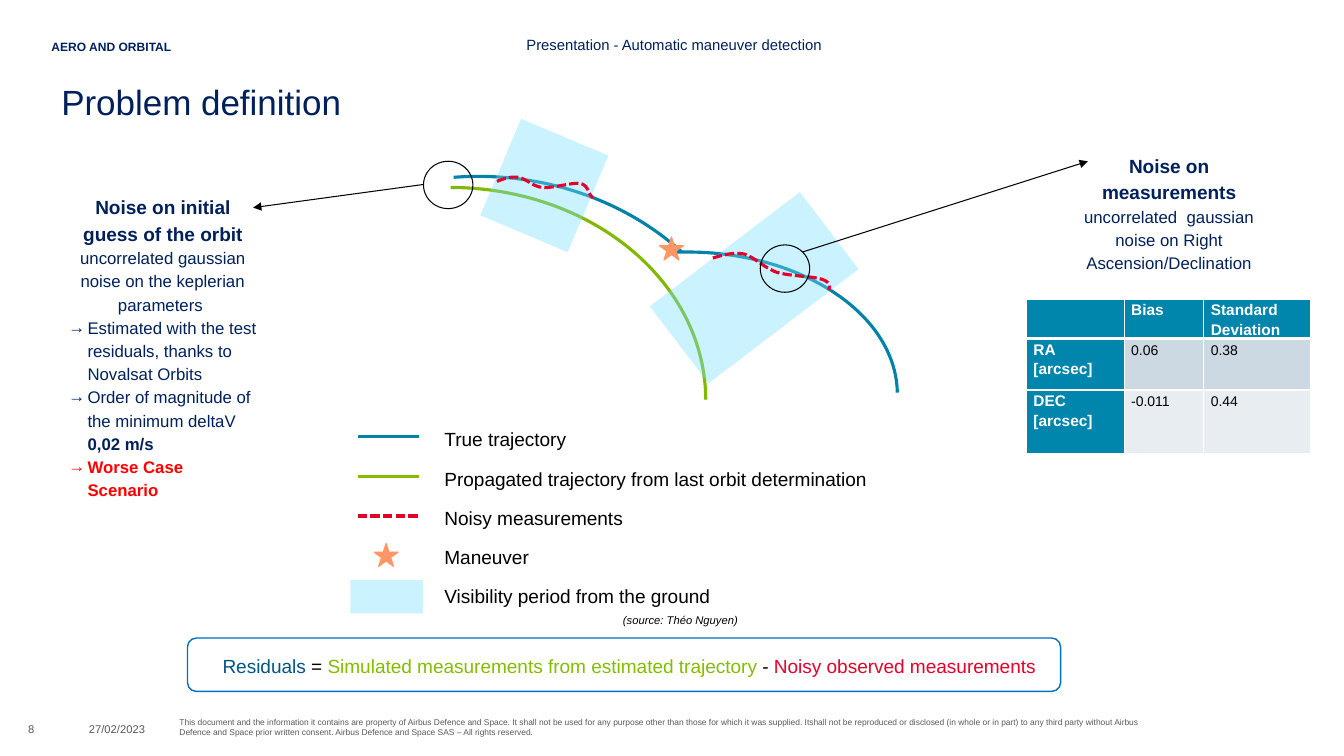
from lxml.etree import SubElement
from pptx import Presentation
from pptx.dml.color import RGBColor
from pptx.enum.dml import MSO_LINE
from pptx.enum.shapes import MSO_CONNECTOR, MSO_SHAPE
from pptx.enum.text import MSO_ANCHOR, PP_ALIGN
from pptx.oxml.ns import qn
from pptx.util import Inches, Pt

NAVY = RGBColor(0x00, 0x20, 0x5B)
BLACK = RGBColor(0x00, 0x00, 0x00)
WHITE = RGBColor(0xFF, 0xFF, 0xFF)
GREY = RGBColor(0x59, 0x59, 0x59)
TEAL = RGBColor(0x00, 0x82, 0xA9)
GREEN = RGBColor(0x84, 0xBD, 0x00)
ARC_GREEN = RGBColor(0x81, 0xB9, 0x00)
CRIMSON = RGBColor(0xE4, 0x00, 0x2B)
RED = RGBColor(0xFF, 0x00, 0x00)
ORANGE = RGBColor(0xFF, 0x96, 0x65)
SKY = RGBColor(0x78, 0xE0, 0xFF)
FRAME_BLUE = RGBColor(0x00, 0x70, 0xC0)
RESIDUAL_BLUE = RGBColor(0x00, 0x55, 0x87)
HEADER_BLUE = RGBColor(0x00, 0x85, 0xAD)
BAND_DARK = RGBColor(0xCC, 0xD9, 0xE3)
BAND_LIGHT = RGBColor(0xE7, 0xED, 0xF1)

CENTER = {"alignment": PP_ALIGN.CENTER}
RIGHT = {"alignment": PP_ALIGN.RIGHT}
NO_INSETS = {"margin_left": 0, "margin_right": 0, "margin_top": 0, "margin_bottom": 0}
FOOTER = {**NO_INSETS, "vertical_anchor": MSO_ANCHOR.BOTTOM}
SINGLE = {"line_spacing": 1.0}
CELL_INSETS = {**NO_INSETS, "margin_left": Inches(0.07), "margin_right": Inches(0.07)}
CELL_TEXT = {"alignment": PP_ALIGN.JUSTIFY, "line_spacing": Pt(14), "space_after": Pt(6)}


def apply(target, values):
    for name, value in values.items():
        setattr(target, name, value)


def curve_points(start, segments, steps=12):
    points = [start]
    for first, second, end in segments:
        origin = points[-1]
        for step in range(1, steps + 1):
            t = step / steps
            weights = ((1 - t) ** 3, 3 * t * (1 - t) ** 2, 3 * t * t * (1 - t), t ** 3)
            controls = (origin, first, second, end)
            points.append(tuple(sum(w * c[axis] for w, c in zip(weights, controls)) for axis in (0, 1)))
    return points


class SlideBuilder:
    font_name = "Arial"
    line_spacing = 1.15
    trajectory_width = 2.25

    def __init__(self, slide):
        self.slide = slide
        self.shapes = slide.shapes

    def outline(self, line, color, width, dashed=False):
        line.color.rgb = color
        line.width = Pt(width)
        if dashed:
            line.dash_style = MSO_LINE.SQUARE_DOT

    def run(self, paragraph, text, size, color, **font_values):
        run = paragraph.add_run()
        run.text = text
        apply(run.font, {"name": self.font_name, "size": Pt(size), **font_values})
        run.font.color.rgb = color

    def text(self, box, paragraphs, frame_values={}):
        shape = self.shapes.add_textbox(*map(Inches, box))
        frame = shape.text_frame
        apply(frame, {"word_wrap": True, **frame_values})
        for index, (runs, values) in enumerate(paragraphs):
            paragraph = frame.add_paragraph() if index else frame.paragraphs[0]
            values = dict(values)
            if values.pop("bullet", False):
                self.arrow_bullet(paragraph)
            apply(paragraph, {"line_spacing": self.line_spacing, **values})
            for text, size, color, *style in runs:
                self.run(paragraph, text, size, color, **{name: True for name in style})

    def arrow_bullet(self, paragraph):
        properties = paragraph._p.get_or_add_pPr()
        properties.set("marL", str(Inches(0.19)))
        properties.set("indent", str(-Inches(0.19)))
        SubElement(properties, qn("a:buFont"), typeface=self.font_name)
        SubElement(properties, qn("a:buChar"), char="→")

    def shape(self, kind, box, fill=None, line=None, rotation=0, alpha=None, adjustments=()):
        shape = self.shapes.add_shape(kind, *map(Inches, box))
        shape.shadow.inherit = False
        shape.rotation = rotation
        for index, value in enumerate(adjustments):
            shape.adjustments[index] = value
        if fill is None:
            shape.fill.background()
        else:
            shape.fill.solid()
            shape.fill.fore_color.rgb = fill
        if alpha:
            color = shape.fill._xPr.find(qn("a:solidFill"))[0]
            SubElement(color, qn("a:alpha"), val=str(alpha * 1000))
        if line:
            self.outline(shape.line, *line)
        else:
            shape.line.fill.background()

    def visibility(self, box, rotation):
        self.shape(MSO_SHAPE.RECTANGLE, box, fill=SKY, rotation=rotation, alpha=39)

    def star(self, left, top):
        self.shape(MSO_SHAPE.STAR_5_POINT, (left, top, 0.24, 0.23), ORANGE, (ORANGE, 0.75))

    def arc(self, box, color, adjustments=()):
        self.shape(MSO_SHAPE.ARC, box, line=(color, self.trajectory_width), adjustments=adjustments)

    def line(self, start, end, color, width, dashed=False, arrow=False):
        connector = self.shapes.add_connector(MSO_CONNECTOR.STRAIGHT, *map(Inches, (*start, *end)))
        self.outline(connector.line, color, width, dashed)
        if arrow:
            SubElement(connector.line._get_or_add_ln(), qn("a:tailEnd"), type="triangle")
        SubElement(connector._element.spPr, qn("a:effectLst"))

    def noisy_curve(self, start, segments):
        points = [tuple(map(Inches, point)) for point in curve_points(start, segments)]
        builder = self.shapes.build_freeform(*points[0])
        builder.add_line_segments(points[1:], close=False)
        shape = builder.convert_to_shape()
        shape.shadow.inherit = False
        shape.fill.background()
        self.outline(shape.line, CRIMSON, self.trajectory_width, True)

    def border(self, cell, side, width):
        line = SubElement(cell._tc.get_or_add_tcPr(), qn("a:" + side), w=str(Pt(width)))
        SubElement(SubElement(line, qn("a:solidFill")), qn("a:srgbClr"), val=str(WHITE))

    def table(self, box, widths, heights, rows):
        table = self.shapes.add_table(len(rows), len(widths), *map(Inches, box)).table
        for column, width in zip(table.columns, widths):
            column.width = Inches(width)
        for row, height in zip(table.rows, heights):
            row.height = Inches(height)
        for row_index, row in enumerate(rows):
            for column_index, text in enumerate(row):
                cell = table.cell(row_index, column_index)
                header = row_index == 0 or column_index == 0
                apply(cell, CELL_INSETS)
                for side in ("lnL", "lnR", "lnT", "lnB"):
                    thick = (row_index, side) in ((0, "lnB"), (1, "lnT"))
                    self.border(cell, side, 3 if thick else 1)
                cell.fill.solid()
                band = BAND_DARK if row_index == 1 else BAND_LIGHT
                cell.fill.fore_color.rgb = HEADER_BLUE if header else band
                paragraph = cell.text_frame.paragraphs[0]
                apply(paragraph, CELL_TEXT)
                paragraph.font.size = Pt(11 if header else 10)
                if text:
                    self.run(paragraph, text, 11 if header else 10, WHITE if header else BLACK, bold=header)


def main():
    presentation = Presentation()
    presentation.slide_width, presentation.slide_height = Inches(13.33), Inches(7.5)
    page = SlideBuilder(presentation.slides.add_slide(presentation.slide_layouts[6]))

    page.text((0.51, 0.36, 1.6, 0.2), [([("AERO AND ORBITAL", 8.6, NAVY, "bold")], SINGLE)],
              {**NO_INSETS, "vertical_anchor": MSO_ANCHOR.MIDDLE})
    page.text((4.56, 0.28, 4.25, 0.29), [([("Presentation - Automatic maneuver detection", 10.6, NAVY)], CENTER)])
    page.text((0.51, 0.71, 12.3, 0.82), [([("Problem definition", 25, NAVY)], {"line_spacing": 1.1})])

    page.shape(MSO_SHAPE.ROUNDED_RECTANGLE, (1.86, 6.33, 8.66, 0.53), WHITE, (FRAME_BLUE, 1))
    page.text((1.86, 6.41, 8.76, 0.34), [([
        ("Residuals ", 13.6, RESIDUAL_BLUE), ("= ", 13.6, BLACK),
        ("Simulated measurements from estimated trajectory ", 13.6, GREEN),
        ("- ", 13.6, BLACK), ("Noisy observed measurements", 13.6, CRIMSON)], CENTER)])

    legend = ("True trajectory", "Propagated trajectory from last orbit determination",
              "Noisy measurements", "Maneuver", "Visibility period from the ground")
    for index, label in enumerate(legend):
        page.text((4.31, 4.16 + 0.39 * index, 5.24, 0.34), [([(label, 13.6, BLACK)], {})])
    for index, color in enumerate((TEAL, GREEN, CRIMSON)):
        y = 4.33 + 0.395 * index
        page.line((3.55, y), (4.16, y), color, page.trajectory_width, dashed=color == CRIMSON)
    page.star(3.71, 5.39)
    page.visibility((3.67, 5.56, 0.33, 0.72), 90)

    bullet = {"bullet": True}
    page.text((0.58, 1.86, 2.07, 3.18), [
        ([("Noise on initial guess of the orbit", 13.6, NAVY, "bold")], CENTER),
        ([("uncorrelated gaussian noise on the keplerian parameters ", 12, NAVY)], CENTER),
        ([("Estimated with the test residuals, thanks to Novalsat Orbits", 12, NAVY)], bullet),
        ([("Order of magnitude of the minimum deltaV ", 12, NAVY), ("0,02 m/s", 12, NAVY, "bold")], bullet),
        ([("Worse Case Scenario", 12, RED, "bold")], bullet)])
    page.text((10.45, 1.45, 2.29, 1.79), [
        ([("Noise on measurements", 13.6, NAVY, "bold")], CENTER),
        ([("uncorrelated  gaussian noise on Right Ascension/Declination", 12, NAVY)], CENTER)])

    page.arc((1.95, 1.75, 5.59, 4.88), TEAL, (158.539, 192.043))
    page.arc((4.73, 2.5, 4.17, 2.82), TEAL, (158.539, 215.767))
    page.arc((1.94, 1.86, 5.06, 4.21), ARC_GREEN)
    page.star(6.54, 2.35)
    page.visibility((4.93, 1.32, 0.94, 1.04), 22.9)
    page.visibility((7, 1.92, 0.96, 1.87), 52.7)
    page.noisy_curve((4.93, 1.8), [
        ((5, 1.77), (5.07, 1.75), (5.14, 1.76)), ((5.22, 1.77), (5.28, 1.85), (5.38, 1.86)),
        ((5.48, 1.87), (5.67, 1.81), (5.75, 1.82)), ((5.83, 1.83), (5.84, 1.92), (5.86, 1.94)),
        ((5.88, 1.96), (5.87, 1.96), (5.87, 1.95))])
    page.noisy_curve((7.07, 2.56), [
        ((7.17, 2.53), (7.27, 2.5), (7.38, 2.52)), ((7.48, 2.55), (7.57, 2.65), (7.7, 2.7)),
        ((7.83, 2.74), (8.06, 2.74), (8.15, 2.77)), ((8.24, 2.8), (8.23, 2.84), (8.22, 2.88))])
    for corner, start, end in (((4.2, 1.6), (4.2, 1.83), (2.51, 2.06)),
                               ((7.54, 2.43), (7.96, 2.5), (10.79, 1.6))):
        page.shape(MSO_SHAPE.OVAL, (*corner, 0.49, 0.47), line=(BLACK, 0.75))
        page.line(start, end, BLACK, 0.75, arrow=True)
    page.text((4.98, 6.02, 3.54, 0.26), [([("(source: Théo Nguyen)", 8, BLACK, "italic")], CENTER)])

    page.table((10.18, 2.97, 2.82, 1.39), (0.97, 0.79, 1.06), (0.25, 0.51, 0.63), (
        ("", "Bias ", "Standard Deviation"), ("RA [arcsec]", "0.06", "0.38"), ("DEC [arcsec]", "-0.011", "0.44")))

    page.text((0.28, 7.06, 0.32, 0.24), [([("8", 8, GREY)], SINGLE)], FOOTER)
    page.text((0.17, 7.06, 1.27, 0.24), [([("27/02/2023", 8, GREY)], {**SINGLE, **RIGHT})], FOOTER)
    page.text((1.78, 7.07, 9.81, 0.24), [([(
        "This document and the information it contains are property of Airbus Defence and Space. "
        "It shall not be used for any purpose other than those for which it was supplied. "
        "Itshall not be reproduced or disclosed (in whole or in part) to any third party without "
        "Airbus Defence and Space prior written consent. "
        "Airbus Defence and Space SAS – All rights reserved.", 6, GREY)], SINGLE)], FOOTER)
    presentation.save("out.pptx")


if __name__ == "__main__":
    main()
